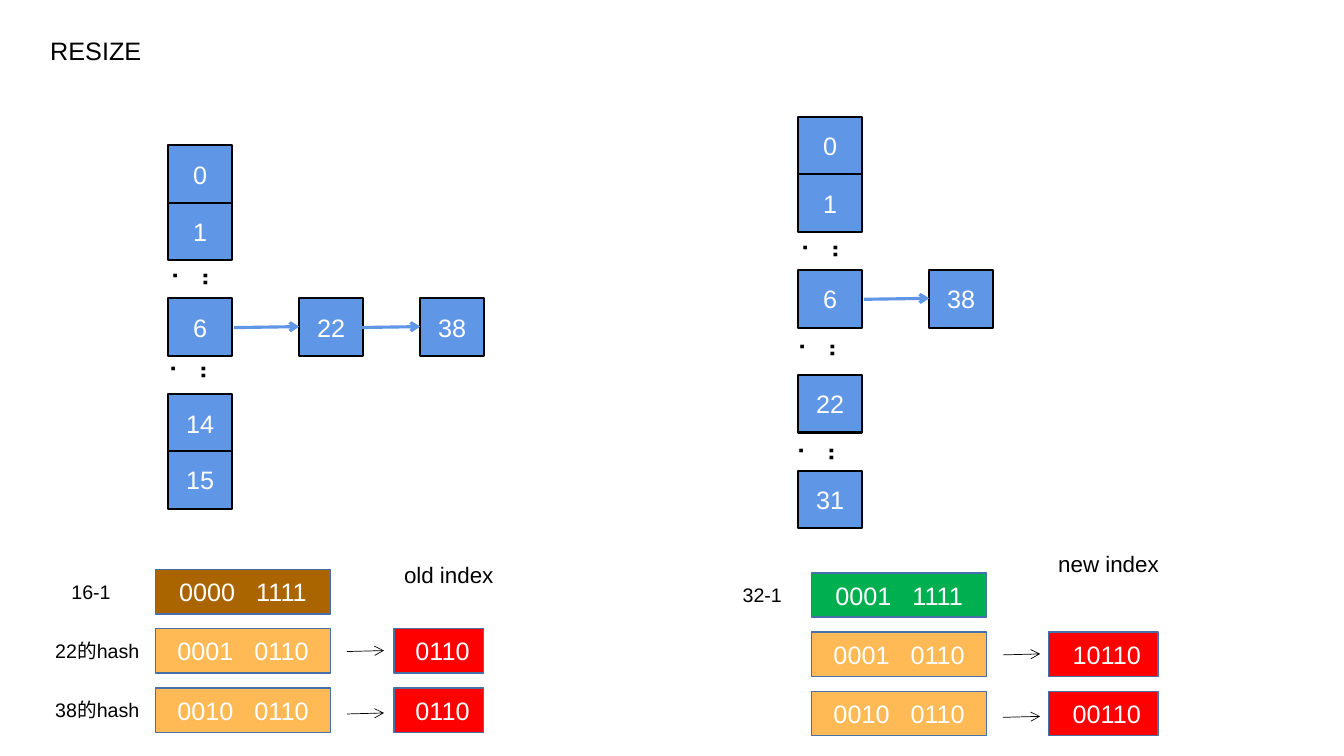
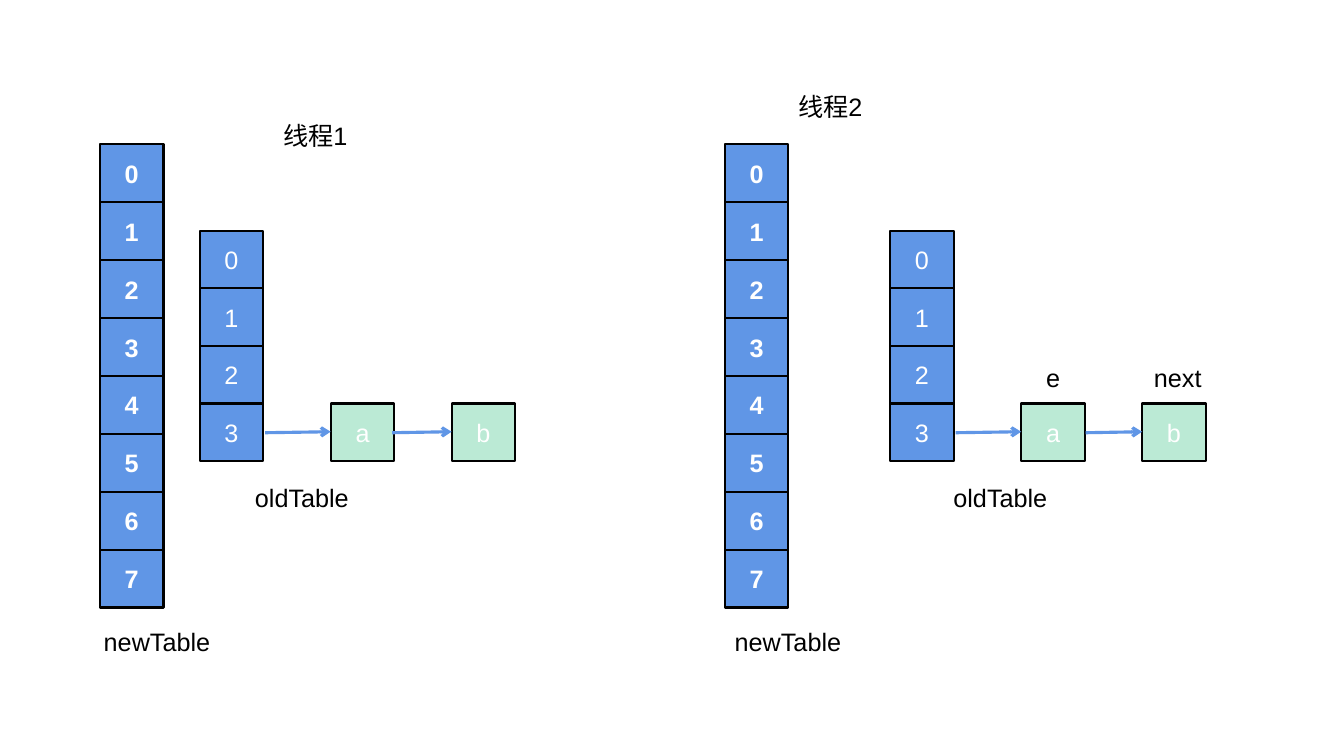
from lxml import etree
from pptx import Presentation
from pptx.dml.color import RGBColor
from pptx.enum.shapes import MSO_CONNECTOR, MSO_SHAPE
from pptx.enum.text import MSO_ANCHOR, MSO_AUTO_SIZE, PP_ALIGN
from pptx.oxml.ns import qn
from pptx.util import Pt

RECTANGLE = MSO_SHAPE.RECTANGLE
STRAIGHT = MSO_CONNECTOR.STRAIGHT
MIDDLE = MSO_ANCHOR.MIDDLE
CENTER = PP_ALIGN.CENTER
LEFT = PP_ALIGN.LEFT
GROW = MSO_AUTO_SIZE.SHAPE_TO_FIT_TEXT

FONT = "Arial"
BLACK, WHITE = "000000", "FFFFFF"
BLUE, BORDER_BLUE, MINT = "6096E6", "476FAA", "BBEAD5"
BROWN, GREEN, ORANGE, RED = "AA6500", "00B050", "FFBA55", "FF0000"

CELL_WIDTH, CELL_HEIGHT = 45.5, 41.2
FIRST_NODE, NODE_PITCH = 93.6, 86.4
BITS_WIDTH, BITS_HEIGHT, BITS_PITCH = 125.3, 31.7, 42.3


def color(value):
    return RGBColor.from_string(value)


def write(frame, text, size=18, fill=BLACK, bold=False, align=LEFT, gap=0):
    """Fill a text frame; gap widens the first space, in points."""
    paragraph = frame.paragraphs[0]
    paragraph.alignment = align
    for piece in text.partition(" ") if gap else (text,):
        run = paragraph.add_run()
        run.text = piece
        run.font.name = FONT
        run.font.size = Pt(size)
        run.font.bold = bold
        run.font.color.rgb = color(fill)
        if gap and piece == " ":
            run.font._element.set("spc", str(gap * 100))


def label(slide, text, left, top, width, height=28.8, vertical=False, **style):
    shape = slide.shapes.add_textbox(Pt(left), Pt(top), Pt(width), Pt(height))
    frame = shape.text_frame
    frame.word_wrap = True
    frame.auto_size = GROW
    if vertical:
        frame._txBody.bodyPr.set("vert", "eaVert")
    write(frame, text, **style)


def box(slide, text, left, top, width=CELL_WIDTH, height=CELL_HEIGHT,
        fill=BLUE, border=BLACK, border_width=1.5, indent=0, **style):
    shape = slide.shapes.add_shape(RECTANGLE, Pt(left), Pt(top), Pt(width), Pt(height))
    shape.shadow.inherit = False
    shape.fill.solid()
    shape.fill.fore_color.rgb = color(fill)
    shape.line.color.rgb = color(border)
    shape.line.width = Pt(border_width)
    frame = shape.text_frame
    frame.word_wrap = True
    frame.vertical_anchor = MIDDLE
    frame.margin_left = Pt(7.2 + indent)
    write(frame, text, fill=WHITE, align=CENTER, **style)


def arrow(slide, start, end, top, stroke=BLUE, width=2.25):
    """Draw an arrow to the right that rises slightly."""
    connector = slide.shapes.add_connector(
        STRAIGHT, Pt(start), Pt(top), Pt(end), Pt(top - 0.7))
    connector.line.color.rgb = color(stroke)
    connector.line.width = Pt(width)
    line = connector.line._get_or_add_ln()
    etree.SubElement(line, qn("a:tailEnd"), type="arrow")
    etree.SubElement(connector._element.spPr, qn("a:effectLst"))


def chain(slide, left, top, names, second_start=0, fill=BLUE):
    """Link nodes to the right of the table cell at left, top."""
    starts = (CELL_WIDTH + 1.3, second_start)
    for index, name in enumerate(names):
        box(slide, name, left + FIRST_NODE + index * NODE_PITCH, top, fill=fill)
    for index, start in enumerate(starts[:len(names)]):
        arrow(slide, left + start, left + FIRST_NODE + index * NODE_PITCH, top + 20.9)


def split_table(slide, left, top, cells, dots):
    """Draw cells as (name, offset) and ellipses as (x, y) offsets."""
    for name, offset in cells:
        box(slide, name, left, top + offset)
    for across, down in dots:
        label(slide, "...", left + across, top + down, 36, vertical=True, bold=True)


def hash_rows(slide, left, top, mask, mask_fill, heading, heading_top,
              result_left, result_width, results):
    """Draw the mask, the two hashes and the index that each one gives."""
    rows = ((mask, mask_fill), ("0001 0110", ORANGE), ("0010 0110", ORANGE))
    outline = dict(height=BITS_HEIGHT, border=BORDER_BLUE, border_width=1)
    for index, (bits, fill) in enumerate(rows):
        box(slide, bits, left, top + index * BITS_PITCH, BITS_WIDTH,
            fill=fill, gap=10, **outline)
    label(slide, heading, left + result_left, top + heading_top, 92.2, 26.6, size=16)
    for index, result in enumerate(results, 1):
        box(slide, result, left + result_left, top + index * BITS_PITCH, result_width,
            fill=RED, indent=5, **outline)
        arrow(slide, left + 136.8, left + 163.4, top + 14 + index * 44.6,
              stroke=BLACK, width=0.5)


def full_table(slide, left, top, count, pitch, bold=False):
    for index in range(count):
        box(slide, str(index), left, top + index * pitch, bold=bold)


def resize_slide(slide):
    label(slide, "RESIZE", 28.8, 21.6, 176.4)

    # Table before the resize
    split_table(slide, 120.2, 103.7,
                (("0", 0), ("1", 41), ("6", 109.4), ("14", 177.8), ("15", 218.4)),
                ((10.8, 84.2), (9.4, 150.5)))
    chain(slide, 120.2, 213.1, ("22", "38"), second_start=133.2)

    # Table after the resize
    split_table(slide, 570.2, 83.5,
                (("0", 0), ("1", 41), ("6", 109.4), ("22", 184.3), ("31", 252.7)),
                ((10.8, 84.2), (8.6, 154.8), (7.9, 229)))
    chain(slide, 570.2, 192.9, ("38",))

    # Index calculation for both sizes
    hash_rows(slide, 110.9, 406.8, "0000 1111", BROWN, "old index", -9.4,
              170.6, 64.1, ("0110", "0110"))
    hash_rows(slide, 579.6, 409.2, "0001 1111", GREEN, "new index", -19.6,
              169.2, 78.5, ("10110", "00110"))
    for text, left, top in (("16-1", 43.9, 410.4), ("22的hash", 32.4, 452.7),
                            ("38的hash", 32.4, 495), ("32-1", 523.4, 412.6)):
        label(slide, text, left, top, 98.6, 24.5, size=14)


def thread_panel(slide, left, old_left, title, title_at, new_label, old_label, second_start):
    """Draw the new and the old table that one thread sees."""
    label(slide, title, *title_at, 127.4)
    full_table(slide, left, 103, 8, 41.4, bold=True)
    full_table(slide, old_left, 164.9, 4, 41.1)
    chain(slide, old_left, 288.2, ("a", "b"), second_start, fill=MINT)
    label(slide, "newTable", new_label, 443.5, 135.4)
    label(slide, "oldTable", old_label, 341.3, 135.4)


def threads_slide(slide):
    thread_panel(slide, 71.3, 142.6, "线程1", (195.1, 82.1), 67, 175, 137.5)
    thread_panel(slide, 517.7, 635.8, "线程2", (563, 61.9), 517.7, 673.9, 139.7)

    # Pointers of thread 2
    label(slide, "e", 740.2, 255.6, 41.8)
    label(slide, "next", 817.2, 255.6, 59.8)


presentation = Presentation()
presentation.slide_width = Pt(960)
presentation.slide_height = Pt(540)
for build in (resize_slide, threads_slide):
    build(presentation.slides.add_slide(presentation.slide_layouts[6]))
presentation.save("out.pptx")
